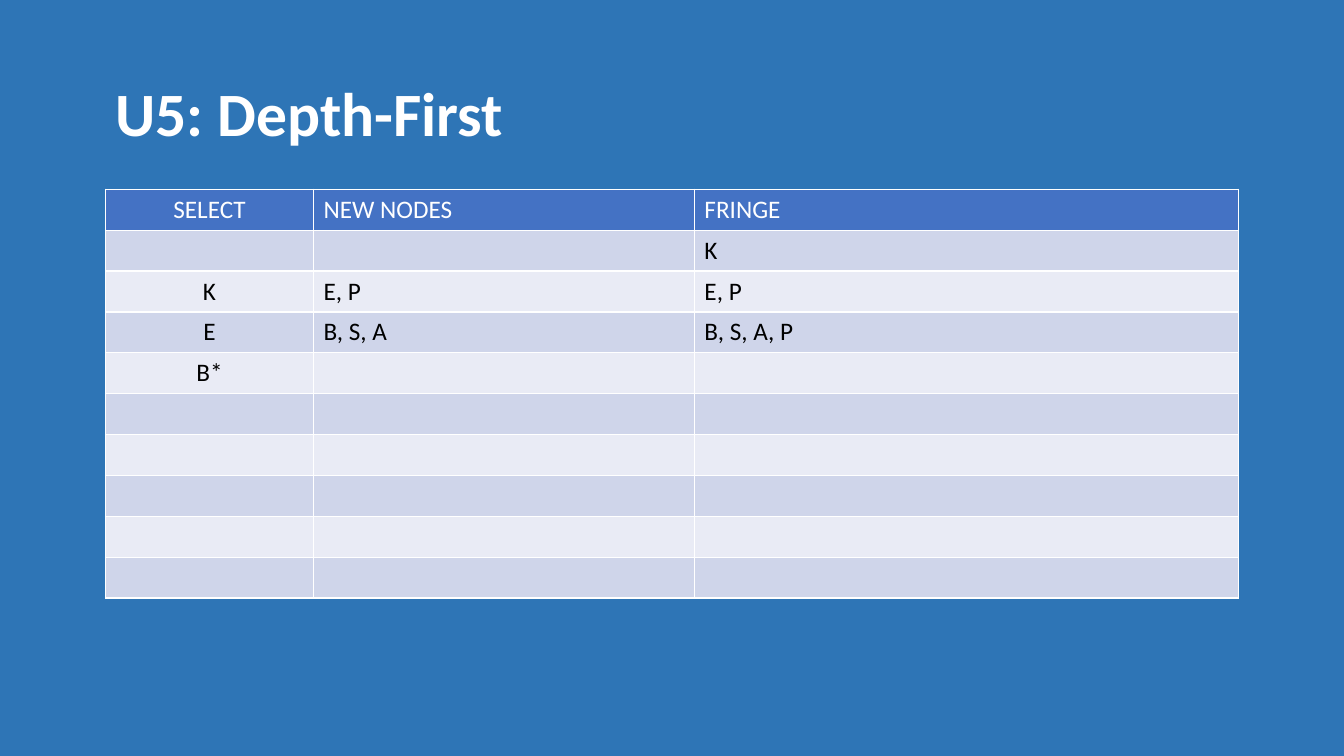
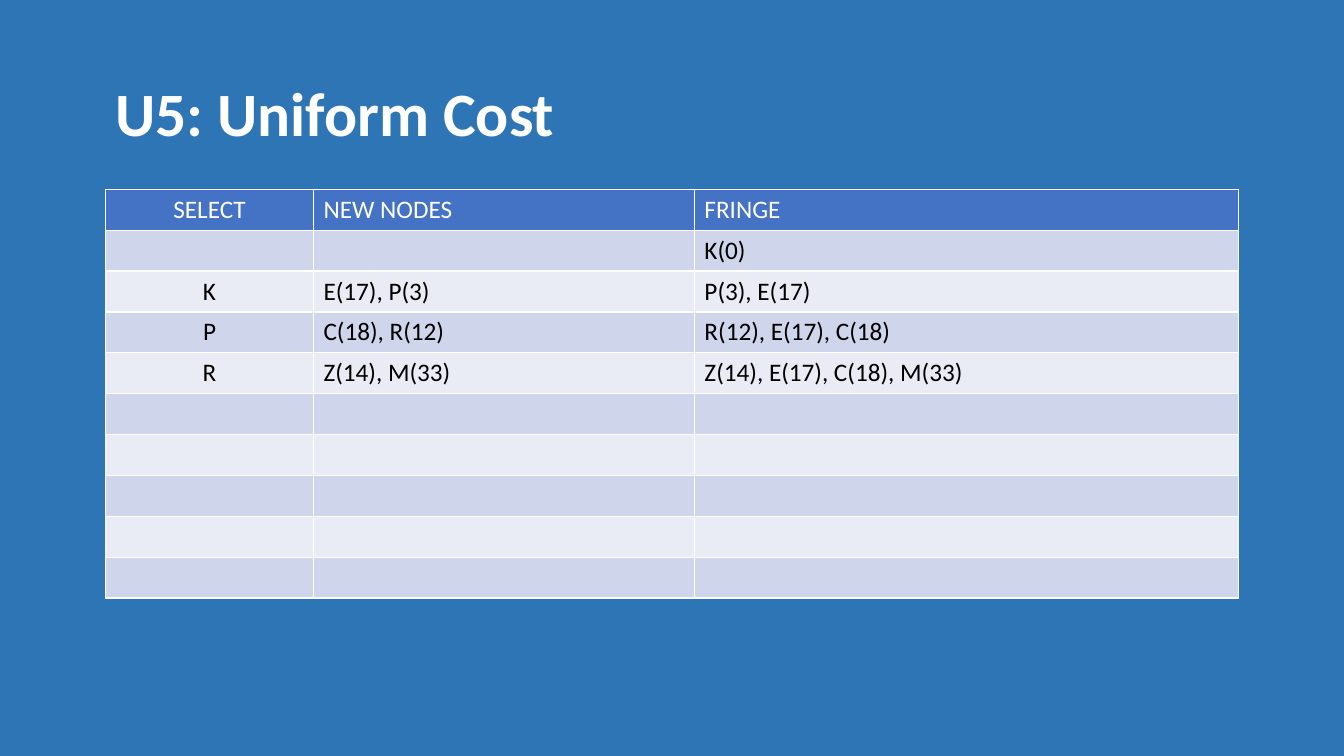
from dataclasses import dataclass

from pptx import Presentation
from pptx.dml.color import RGBColor
from pptx.enum.text import MSO_ANCHOR, PP_ALIGN
from pptx.util import Cm, Pt

LEFT = PP_ALIGN.LEFT
CENTER = PP_ALIGN.CENTER
MIDDLE = MSO_ANCHOR.MIDDLE


@dataclass(frozen=True)
class Theme:
    font: str = "Calibri"
    background: str = "2E75B6"
    light_text: str = "FFFFFF"
    dark_text: str = "000000"
    header_fill: str = "4472C4"
    band_fills: tuple = ("CFD5EA", "E9EBF5")
    title_size: int = 44
    table_size: int = 18


HEADERS = ("SELECT", "NEW NODES", "FRINGE")
ALIGNMENTS = (CENTER, LEFT, LEFT)
COLUMN_WIDTHS = (5.24, 9.6, 13.72)
ROW_COUNT = 10
ROW_HEIGHT = 1.03
MARGIN = 2.66
TITLE_TOP = 1.1
TITLE_WIDTH = 18.1
TABLE_TOP = 4.77

SEARCHES = {
    "U5: Depth-First": [
        ("", "", "K"),
        ("K", "E, P", "E, P"),
        ("E", "B, S, A", "B, S, A, P"),
        ("B*", "", ""),
    ],
    "U5: Uniform Cost": [
        ("", "", "K(0)"),
        ("K", "E(17), P(3)", "P(3), E(17)"),
        ("P", "C(18), R(12)", "R(12), E(17), C(18)"),
        ("R", "Z(14), M(33)", "Z(14), E(17), C(18), M(33)"),
    ],
}


def write_text(text_frame, text, *, font, size, color, bold=False, align=LEFT, line_spacing=1.0):
    paragraph = text_frame.paragraphs[0]
    paragraph.alignment = align
    paragraph.line_spacing = line_spacing
    paragraph.font.size = Pt(size)
    if text:
        run = paragraph.add_run()
        run.text = text
        run.font.name = font
        run.font.size = Pt(size)
        run.font.bold = bold
        run.font.color.rgb = RGBColor.from_string(color)


class Deck:
    def __init__(self, theme):
        self.theme = theme
        self.presentation = Presentation()
        self.presentation.slide_width = Cm(33.87)
        self.presentation.slide_height = Cm(19.05)
        self.slide = None

    def add_slide(self):
        blank_layout = self.presentation.slide_layouts[6]
        self.slide = self.presentation.slides.add_slide(blank_layout)
        fill = self.slide.background.fill
        fill.solid()
        fill.fore_color.rgb = RGBColor.from_string(self.theme.background)

    def add_title(self, text):
        shape = self.slide.shapes.add_textbox(
            Cm(MARGIN), Cm(TITLE_TOP), Cm(TITLE_WIDTH), Cm(TABLE_TOP - TITLE_TOP)
        )
        shape.text_frame.word_wrap = True
        shape.text_frame.vertical_anchor = MIDDLE
        write_text(
            shape.text_frame, text, font=self.theme.font, size=self.theme.title_size,
            color=self.theme.light_text, bold=True, line_spacing=0.9,
        )

    def add_search_table(self, steps):
        table = self.slide.shapes.add_table(
            ROW_COUNT, len(HEADERS), Cm(MARGIN), Cm(TABLE_TOP),
            Cm(sum(COLUMN_WIDTHS)), Cm(ROW_COUNT * ROW_HEIGHT),
        ).table
        for column, width in zip(table.columns, COLUMN_WIDTHS):
            column.width = Cm(width)
        empty_rows = [("",) * len(HEADERS)] * (ROW_COUNT - 1 - len(steps))
        for index, values in enumerate([HEADERS, *steps, *empty_rows]):
            table.rows[index].height = Cm(ROW_HEIGHT)
            if index == 0:
                fill, color = self.theme.header_fill, self.theme.light_text
            else:
                fill, color = self.theme.band_fills[(index - 1) % 2], self.theme.dark_text
            for cell, text, align in zip(table.rows[index].cells, values, ALIGNMENTS):
                cell.fill.solid()
                cell.fill.fore_color.rgb = RGBColor.from_string(fill)
                write_text(
                    cell.text_frame, text, font=self.theme.font,
                    size=self.theme.table_size, color=color, align=align,
                )


def main():
    deck = Deck(Theme())
    for title, steps in SEARCHES.items():
        deck.add_slide()
        deck.add_title(title)
        deck.add_search_table(steps)
    deck.presentation.save("out.pptx")


if __name__ == "__main__":
    main()
